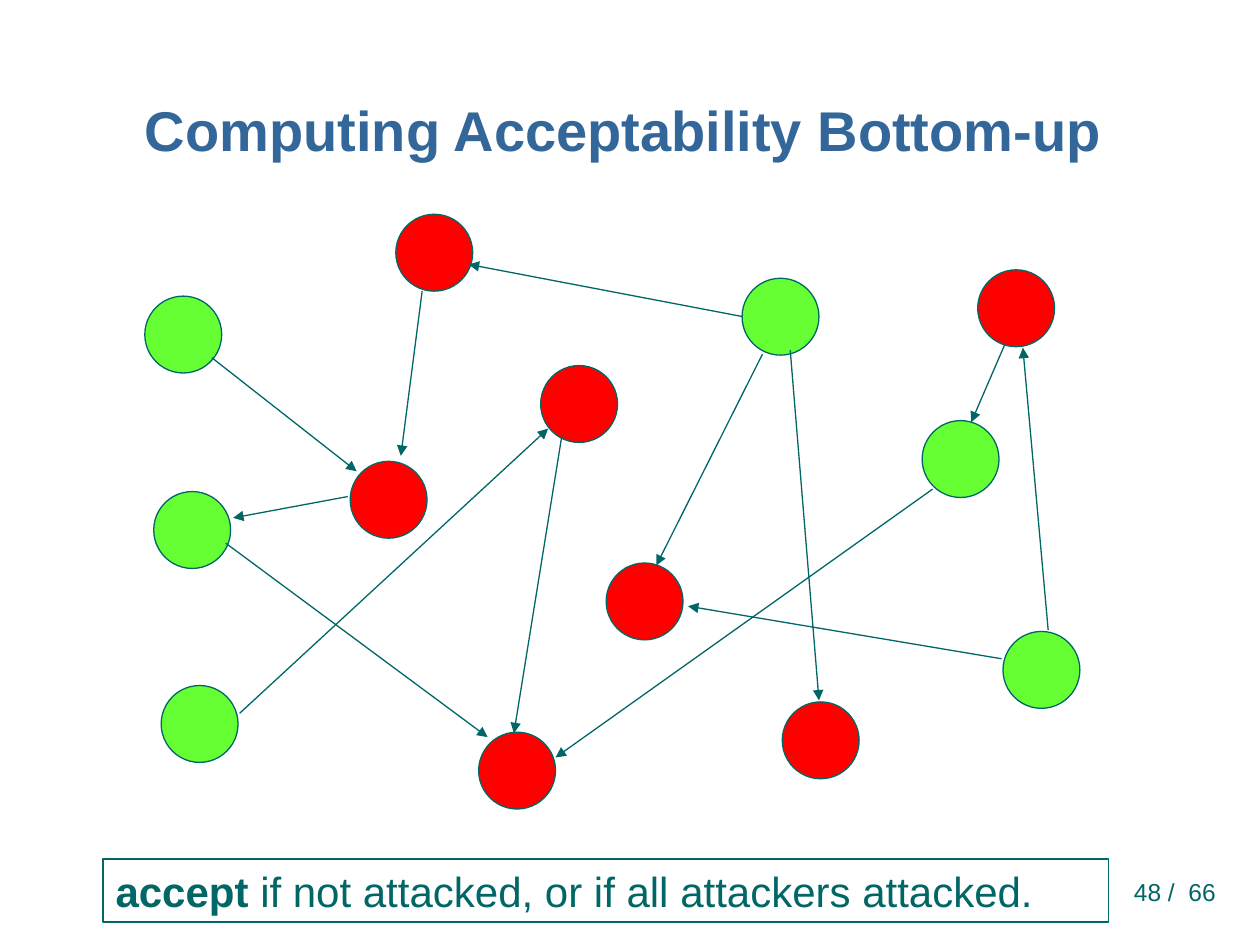
import pptx
import pptx.util
from dataclasses import dataclass
from lxml import etree
from pptx.dml.color import RGBColor
from pptx.enum.shapes import MSO_CONNECTOR, MSO_SHAPE
from pptx.enum.text import MSO_ANCHOR, PP_ALIGN
from pptx.oxml.ns import qn
from pptx.util import Cm


@dataclass(frozen=True)
class Theme:
    font: str = "Arial"
    ink: str = "006666"
    title: str = "336699"
    accepted: str = "66FF33"
    rejected: str = "FF0000"
    title_size: int = 32
    rule_size: int = 24
    page_size: int = 14
    line: float = 0.75
    node: float = 1.55


T = Theme()

# Arguments: left and top in cm
ACCEPTED = [(2.92, 5.97), (3.1, 9.91), (3.25, 13.82),
            (18.59, 8.48), (14.96, 5.61), (20.22, 12.73)]
REJECTED = [(10.9, 7.37), (12.22, 11.35), (15.77, 14.15), (7.06, 9.3),
            (7.98, 4.32), (9.65, 14.76), (19.71, 5.44)]

# Attacks: start x, y and end x, y in cm
ATTACKS = [
    (4.27, 7.21, 7.19, 9.5), (8.51, 5.87, 8.08, 9.19),
    (11.33, 8.76, 10.36, 14.78), (4.55, 10.95, 9.83, 14.86),
    (7.01, 10.01, 4.7, 10.44), (15.37, 7.14, 13.23, 11.4),
    (20.27, 6.91, 19.58, 8.51), (20.19, 13.28, 13.87, 12.22),
    (21.13, 12.7, 20.62, 7.01), (15.93, 7.06, 16.51, 14.12),
    (18.8, 9.86, 11.2, 15.27), (4.83, 14.38, 11.05, 8.64),
    (14.96, 6.38, 9.45, 5.33),
]


def rgb(color):
    return RGBColor.from_string(color)


def add_run(p, text, size, color=T.ink, bold=False):
    r = p.add_run()
    r.text = text
    r.font.name = T.font
    r.font.size = pptx.util.Pt(size)
    r.font.bold = bold
    r.font.color.rgb = rgb(color)


def set_frame(sp, anchor, align):
    """Prepare the text frame and return its first paragraph."""
    tf = sp.text_frame
    tf.word_wrap = True
    tf.vertical_anchor = anchor
    tf.margin_left = tf.margin_right = Cm(0.25)
    tf.margin_top = tf.margin_bottom = Cm(0.13)
    p = tf.paragraphs[0]
    p.alignment = align
    return p


def set_line(sp):
    sp.line.color.rgb = rgb(T.ink)
    sp.line.width = pptx.util.Pt(T.line)


def add_title(s, text):
    sp = s.shapes.title
    sp.left, sp.top, sp.width, sp.height = Cm(1.04), Cm(1.17), Cm(23.06), Cm(3.18)
    p = set_frame(sp, MSO_ANCHOR.MIDDLE, PP_ALIGN.CENTER)
    p.line_spacing = 0.7
    add_run(p, text, T.title_size, color=T.title, bold=True)


def add_node(s, x, y, color):
    sp = s.shapes.add_shape(MSO_SHAPE.OVAL, Cm(x), Cm(y), Cm(T.node), Cm(T.node))
    sp.shadow.inherit = False
    sp.fill.solid()
    sp.fill.fore_color.rgb = rgb(color)
    set_line(sp)


def add_attack(s, x1, y1, x2, y2):
    c = s.shapes.add_connector(MSO_CONNECTOR.STRAIGHT, Cm(x1), Cm(y1), Cm(x2), Cm(y2))
    set_line(c)
    etree.SubElement(c.line._get_or_add_ln(), qn("a:tailEnd"), type="triangle")
    etree.SubElement(c._element.spPr, qn("a:effectLst"))


def add_rule(s, keyword, text):
    sp = s.shapes.add_shape(MSO_SHAPE.RECTANGLE, Cm(2.08), Cm(17.32), Cm(20.27), Cm(1.27))
    sp.shadow.inherit = False
    sp.fill.background()
    set_line(sp)
    p = set_frame(sp, MSO_ANCHOR.TOP, PP_ALIGN.LEFT)
    add_run(p, keyword, T.rule_size, bold=True)
    add_run(p, text, T.rule_size)


def add_page_number(s, text):
    sp = s.shapes.add_textbox(Cm(21.46), Cm(17.35), Cm(3.3), Cm(1.27))
    p = set_frame(sp, MSO_ANCHOR.MIDDLE, PP_ALIGN.RIGHT)
    add_run(p, text, T.page_size)


def main():
    prs = pptx.Presentation()
    prs.slide_width, prs.slide_height = Cm(25.4), Cm(19.05)
    s = prs.slides.add_slide(prs.slide_layouts[5])

    add_page_number(s, "48 /  66")
    add_title(s, "Computing Acceptability Bottom-up")

    # Argument graph
    for nodes, color in ((ACCEPTED, T.accepted), (REJECTED, T.rejected)):
        for x, y in nodes:
            add_node(s, x, y, color)
    for attack in ATTACKS:
        add_attack(s, *attack)

    # Acceptance rule
    add_rule(s, "accept", " if not attacked, or if all attackers attacked.")

    prs.save("out.pptx")


if __name__ == "__main__":
    main()
